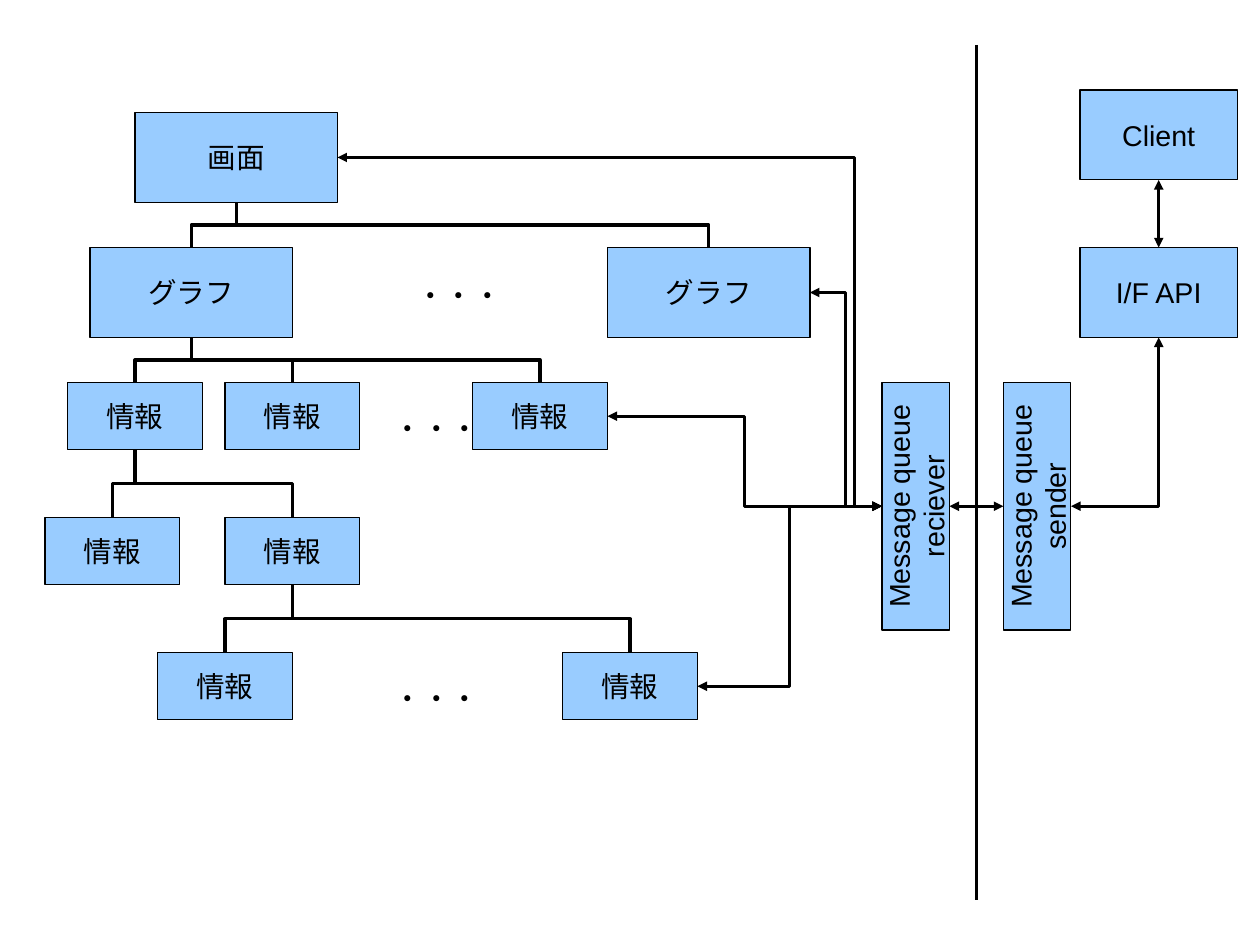
from lxml import etree
from pptx import Presentation
from pptx import util as u
from pptx.dml.color import RGBColor
from pptx.enum import shapes, text
from pptx.oxml.ns import qn

GRID = 28.35  # points per grid unit
COLORS = {"box": "99CCFF", "ink": "000000"}
SIDES = ["top", "left", "bottom", "right"]
OFFSETS = {"top": (0, -1), "left": (-1, 0), "bottom": (0, 1), "right": (1, 0)}


def grid(units):
    return u.Pt(units * GRID)


def color(name):
    return RGBColor.from_string(COLORS[name])


def side_point(shape, side):
    """Middle of a side as it appears after rotation."""
    width, height = shape.width, shape.height
    center_x, center_y = shape.left + width // 2, shape.top + height // 2
    if shape.rotation:
        width, height = height, width
    dx, dy = OFFSETS[side]
    return center_x + dx * width // 2, center_y + dy * height // 2


def side_site(shape, side):
    """Connection site; a shape turned by 270 degrees shifts them by one."""
    return (SIDES.index(side) - (1 if shape.rotation else 0)) % 4


class Diagram:
    def __init__(self, slide):
        self.slide = slide
        self.font_name = "Arial"
        self.font_size = u.Pt(18)

    def style_text(self, frame, lines, alignment):
        frame.text = "\n".join(lines)
        for paragraph in frame.paragraphs:
            paragraph.alignment = alignment
            paragraph.font.name = self.font_name
            paragraph.font.size = self.font_size
            paragraph.font.color.rgb = color("ink")

    def box(self, left, top, width, height, *lines, rotation=0):
        shape = self.slide.shapes.add_shape(
            shapes.MSO_SHAPE.RECTANGLE, *map(grid, (left, top, width, height)))
        shape.rotation = rotation
        shape.shadow.inherit = False
        shape.fill.solid()
        shape.fill.fore_color.rgb = color("box")
        shape.line.color.rgb = color("ink")
        shape.line.width = u.Pt(0)
        shape.text_frame.vertical_anchor = text.MSO_ANCHOR.MIDDLE
        self.style_text(shape.text_frame, lines, text.PP_ALIGN.CENTER)
        return shape

    def info(self, left, top):
        return self.box(left, top, 3, 1.5, "情報")

    def queue(self, center_x, role):
        return self.box(center_x - 2.75, 10.5, 5.5, 1.5,
                        "Message queue", role, rotation=270)

    def dots(self, left, top):
        shape = self.slide.shapes.add_textbox(
            grid(left), grid(top), u.Pt(68.4), u.Pt(33.1))
        shape.text_frame.word_wrap = False
        shape.text_frame.auto_size = text.MSO_AUTO_SIZE.SHAPE_TO_FIT_TEXT
        self.style_text(shape.text_frame, ["・・・"], text.PP_ALIGN.LEFT)

    def line(self, kind, x1, y1, x2, y2, arrows=False):
        connector = self.slide.shapes.add_connector(kind, x1, y1, x2, y2)
        connector.line.color.rgb = color("ink")
        connector.line.width = u.Pt(0)
        properties = connector._element.spPr
        if arrows:
            outline = properties.find(qn("a:ln"))
            for end in ("a:headEnd", "a:tailEnd"):
                etree.SubElement(outline, qn(end)).set("type", "triangle")
        etree.SubElement(properties, qn("a:effectLst"))
        return connector

    def join(self, start, start_side, end, end_side, arrows=False,
             preset=None, bend=None):
        x1, y1 = side_point(start, start_side)
        x2, y2 = side_point(end, end_side)
        straight = abs(x1 - x2) < u.Pt(1) or abs(y1 - y2) < u.Pt(1)
        kind = shapes.MSO_CONNECTOR.STRAIGHT if straight else shapes.MSO_CONNECTOR.ELBOW
        turned = not straight and start_side == "bottom"
        if turned:
            # A downward elbow is a horizontal one turned about its centre
            middle_x, middle_y = (x1 + x2) // 2, (y1 + y2) // 2
            half_width, half_height = (y2 - y1) // 2, abs(x2 - x1) // 2
            mirror = -1 if x2 > x1 else 1
            x1, x2 = middle_x - mirror * half_width, middle_x + mirror * half_width
            y1, y2 = middle_y - half_height, middle_y + half_height
        connector = self.line(kind, x1, y1, x2, y2, arrows)
        connector.begin_connect(start, side_site(start, start_side))
        connector.end_connect(end, side_site(end, end_side))
        connector.begin_x, connector.begin_y = x1, y1
        connector.end_x, connector.end_y = x2, y2

        properties = connector._element.spPr
        if turned:
            degrees = 90 if mirror > 0 else 270
            properties.find(qn("a:xfrm")).set("rot", str(degrees * 60000))
        geometry = properties.find(qn("a:prstGeom"))
        if preset:
            geometry.set("prst", preset)
        if bend is not None:
            guide = etree.SubElement(geometry.find(qn("a:avLst")), qn("a:gd"))
            guide.set("name", "adj1")
            guide.set("fmla", f"val {round(bend * 100000)}")


def main():
    presentation = Presentation()
    presentation.slide_width, presentation.slide_height = grid(28), grid(21)
    slide = presentation.slides.add_slide(presentation.slide_layouts[6])
    diagram = Diagram(slide)

    # Screen tree
    screen = diagram.box(3, 2.5, 4.5, 2, "画面")
    graphs = [diagram.box(left, 5.5, 4.5, 2, "グラフ") for left in (2, 13.5)]
    infos = [diagram.info(left, 8.5) for left in (1.5, 5, 10.5)]
    details = [diagram.info(left, 11.5) for left in (1, 5)]
    leaves = [diagram.info(left, 14.5) for left in (3.5, 12.5)]
    for left, top in ((9, 6.05), (8.5, 9), (8.5, 15)):
        diagram.dots(left, top)

    # Client side and queues
    client = diagram.box(24, 2, 3.5, 2, "Client")
    api = diagram.box(24, 5.5, 3.5, 2, "I/F API")
    receiver = diagram.queue(20.35, "reciever")
    sender = diagram.queue(23.05, "sender")
    diagram.line(shapes.MSO_CONNECTOR.STRAIGHT,
                 grid(21.7), grid(1), grid(21.7), grid(20))

    # Tree branches
    for parent, children in ((screen, graphs), (graphs[0], infos),
                             (infos[0], details), (details[1], leaves)):
        for child in children:
            diagram.join(parent, "bottom", child, "top")

    # Message flow
    for target, bend in ((screen, 0.05), (graphs[1], 0.5),
                         (infos[2], 0.5), (leaves[1], 0.5)):
        diagram.join(receiver, "left", target, "right", arrows=True, bend=bend)
    diagram.join(sender, "left", receiver, "right", arrows=True)
    diagram.join(api, "bottom", sender, "right", arrows=True,
                 preset="bentConnector2")
    diagram.join(client, "bottom", api, "top", arrows=True)

    presentation.save("out.pptx")


if __name__ == "__main__":
    main()
